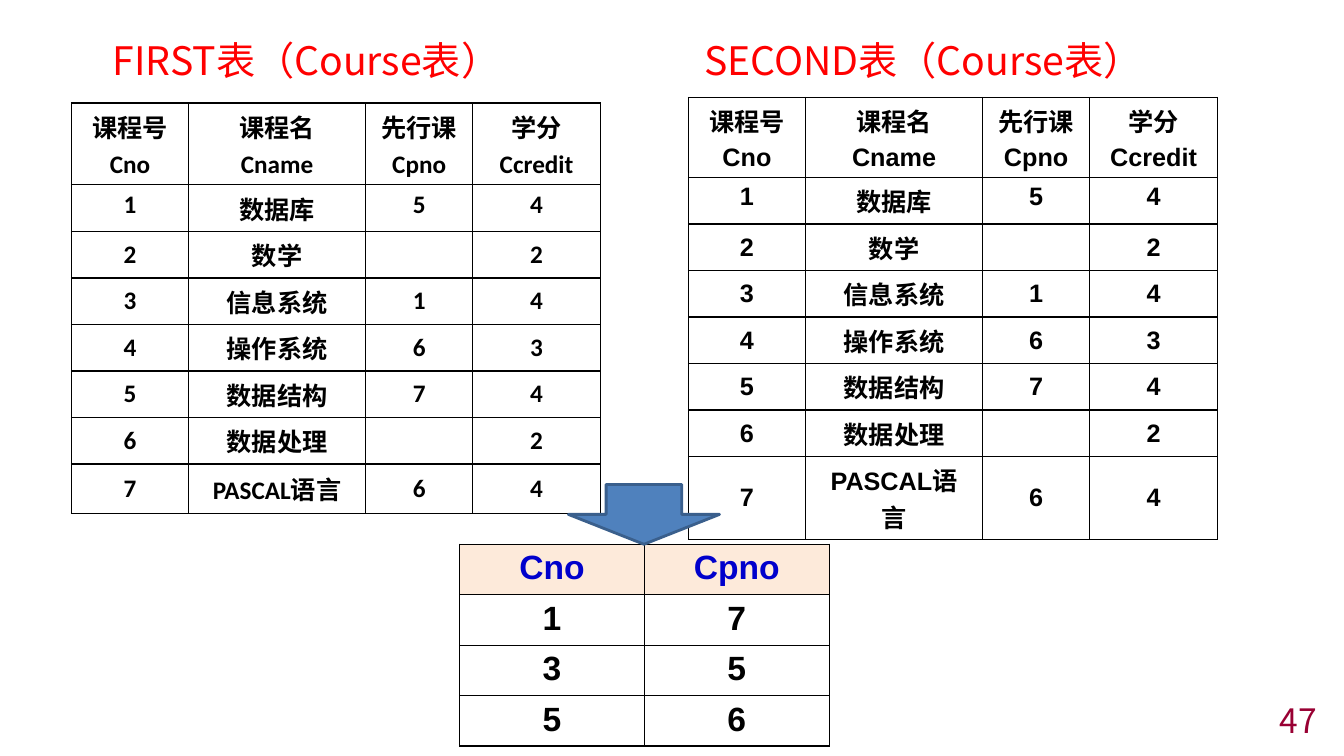
from lxml.etree import SubElement
from pptx import Presentation
from pptx.dml.color import RGBColor
from pptx.enum.shapes import MSO_SHAPE
from pptx.enum.text import MSO_ANCHOR, PP_ALIGN
from pptx.oxml.ns import qn
from pptx.util import Pt


def rgb(hex_color):
    return RGBColor.from_string(hex_color)


class SlideBuilder:
    heading_font = "Noto Sans CJK SC"
    ink = "000000"
    inset_x, inset_y = 9.36, 3.6

    def __init__(self, slide):
        self.s = slide

    def style(self, p, size, font, color, align, bold=False):
        p.alignment = align
        p.font.size = Pt(size)
        p.font.name = font
        p.font.bold = bold
        p.font.color.rgb = rgb(color)

    def text(self, x, y, w, h, text, size, color, align):
        tf = self.s.shapes.add_textbox(Pt(x), Pt(y), Pt(w), Pt(h)).text_frame
        tf.word_wrap = True
        tf.vertical_anchor = MSO_ANCHOR.MIDDLE
        tf.margin_left = tf.margin_right = Pt(7.2)
        tf.margin_top = tf.margin_bottom = Pt(0)
        p = tf.paragraphs[0]
        p.text = text
        self.style(p, size, self.heading_font, color, align)

    def borders(self, cell):
        tcPr = cell._tc.get_or_add_tcPr()
        for side in ("a:lnL", "a:lnR", "a:lnT", "a:lnB"):
            ln = SubElement(tcPr, qn(side), w=str(Pt(1)))
            fill = SubElement(ln, qn("a:solidFill"))
            SubElement(fill, qn("a:srgbClr"), val=self.ink)

    def table(self, x, y, widths, heights, rows, size, font,
              top_rows, head_color=ink, head_fill=None):
        frame = self.s.shapes.add_table(len(rows), len(widths), Pt(x), Pt(y),
                                        Pt(sum(widths)), Pt(sum(heights)))
        table = frame.table
        table.first_row = table.horz_banding = False
        for column, width in zip(table.columns, widths):
            column.width = Pt(width)
        for i, (row, height) in enumerate(zip(rows, heights)):
            table.rows[i].height = Pt(height)
            for cell, value in zip(table.rows[i].cells, row):
                self.borders(cell)
                if i == 0 and head_fill:
                    cell.fill.solid()
                    cell.fill.fore_color.rgb = rgb(head_fill)
                else:
                    cell.fill.background()
                cell.margin_left = cell.margin_right = Pt(self.inset_x)
                cell.margin_top = cell.margin_bottom = Pt(self.inset_y)
                cell.vertical_anchor = (MSO_ANCHOR.TOP if i < top_rows
                                        else MSO_ANCHOR.MIDDLE)
                tf = cell.text_frame
                tf.text = value
                for n, p in enumerate(tf.paragraphs):
                    if n:
                        p.space_before = Pt(size * 0.2)
                    self.style(p, size, font, self.ink if i else head_color,
                               PP_ALIGN.CENTER, bold=True)

    def down_arrow(self, x, y, w, h, fill, line):
        sp = self.s.shapes.add_shape(MSO_SHAPE.DOWN_ARROW,
                                     Pt(x), Pt(y), Pt(w), Pt(h))
        sp.shadow.inherit = False
        sp.fill.solid()
        sp.fill.fore_color.rgb = rgb(fill)
        sp.line.color.rgb = rgb(line)
        sp.line.width = Pt(2)


COURSES = [
    ("课程号\nCno", "课程名\nCname", "先行课\nCpno", "学分\nCcredit"),
    ("1", "数据库", "5", "4"),
    ("2", "数学", "", "2"),
    ("3", "信息系统", "1", "4"),
    ("4", "操作系统", "6", "3"),
    ("5", "数据结构", "7", "4"),
    ("6", "数据处理", "", "2"),
    ("7", "PASCAL语言", "6", "4"),
]
PREREQUISITES = [("Cno", "Cpno"), ("1", "7"), ("3", "5"), ("5", "6")]
COURSE_WIDTHS = [83.5, 126.7, 76.3, 91.5]


def main():
    prs = Presentation()
    prs.slide_width, prs.slide_height = Pt(960), Pt(540)
    b = SlideBuilder(prs.slides.add_slide(prs.slide_layouts[6]))

    # Page number
    b.text(743.8, 503.3, 203.8, 22.3, "47", 24, "990033", PP_ALIGN.RIGHT)

    # Two copies of the course table, each with its heading
    for name, title_x, x, y, font, head, last in (
            ("FIRST", 73.5, 51.1, 73.6, "Calibri", 58.5, 35.4),
            ("SECOND", 496, 491.8, 69.6, "Arial", 57.2, 59.2)):
        b.table(x, y, COURSE_WIDTHS, [head] + [33.25] * 6 + [last],
                COURSES, 18, font, top_rows=2)
        b.text(title_x, 20, 370, 45, f"{name}表（Course表）", 28, "FF0000",
               PP_ALIGN.LEFT)

    # Join result
    b.table(328.3, 388.8, [132] * 2, [34] * 4, PREREQUISITES, 24, "Arial",
            top_rows=4, head_color="0000CC", head_fill="FDEADA")
    b.down_arrow(406, 346.1, 108, 42.7, "4F81BD", "3A5F8C")

    prs.save("out.pptx")


if __name__ == "__main__":
    main()
